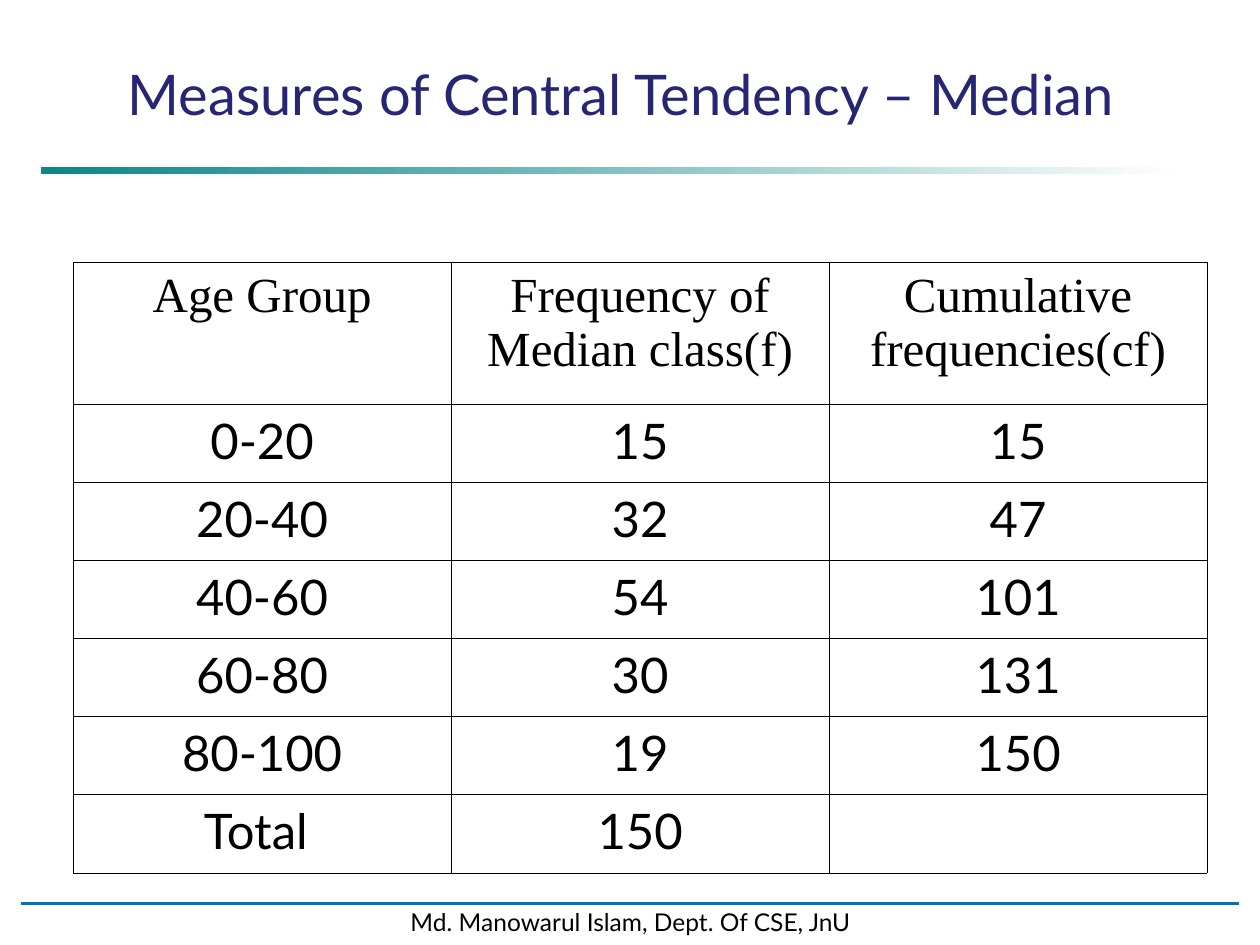
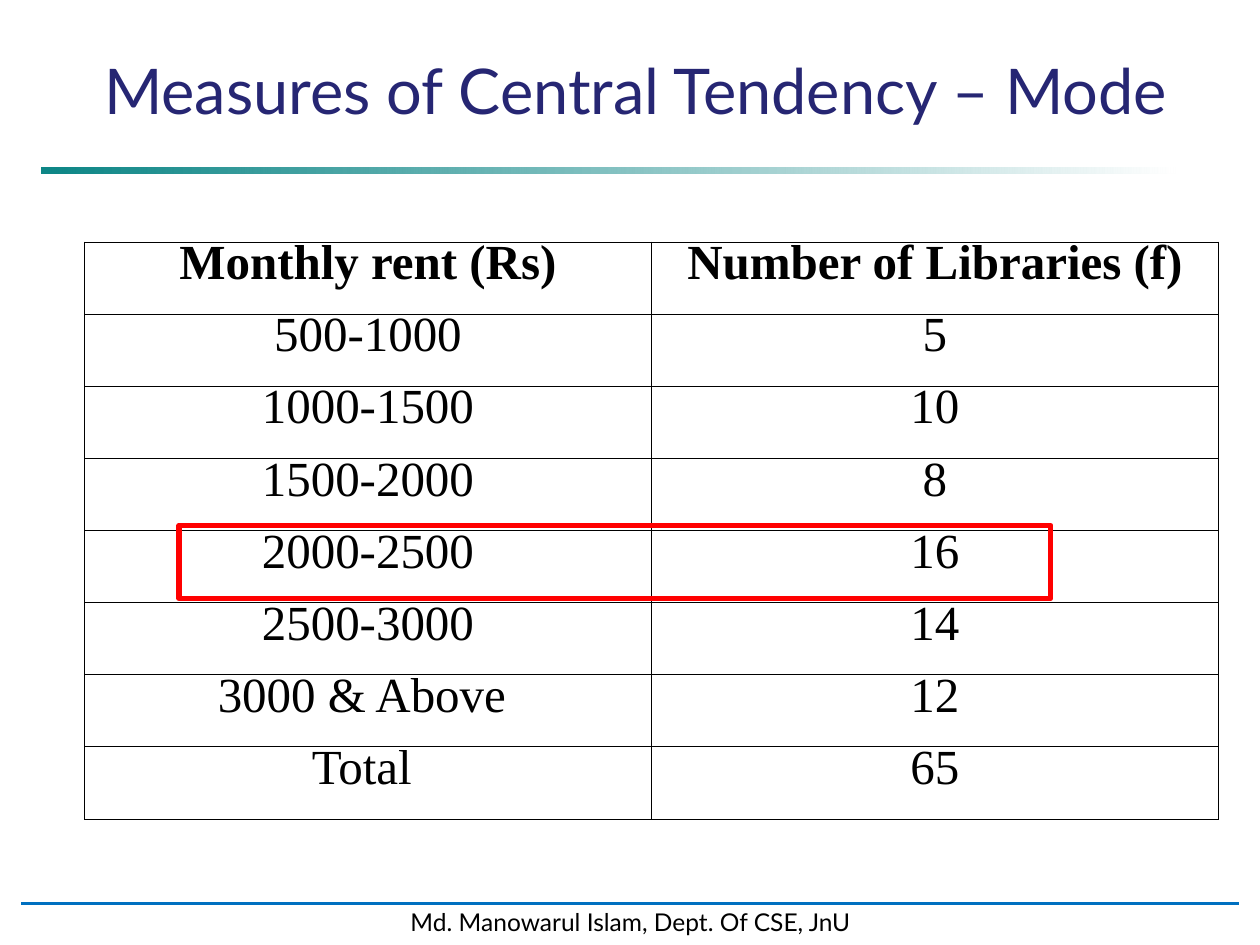
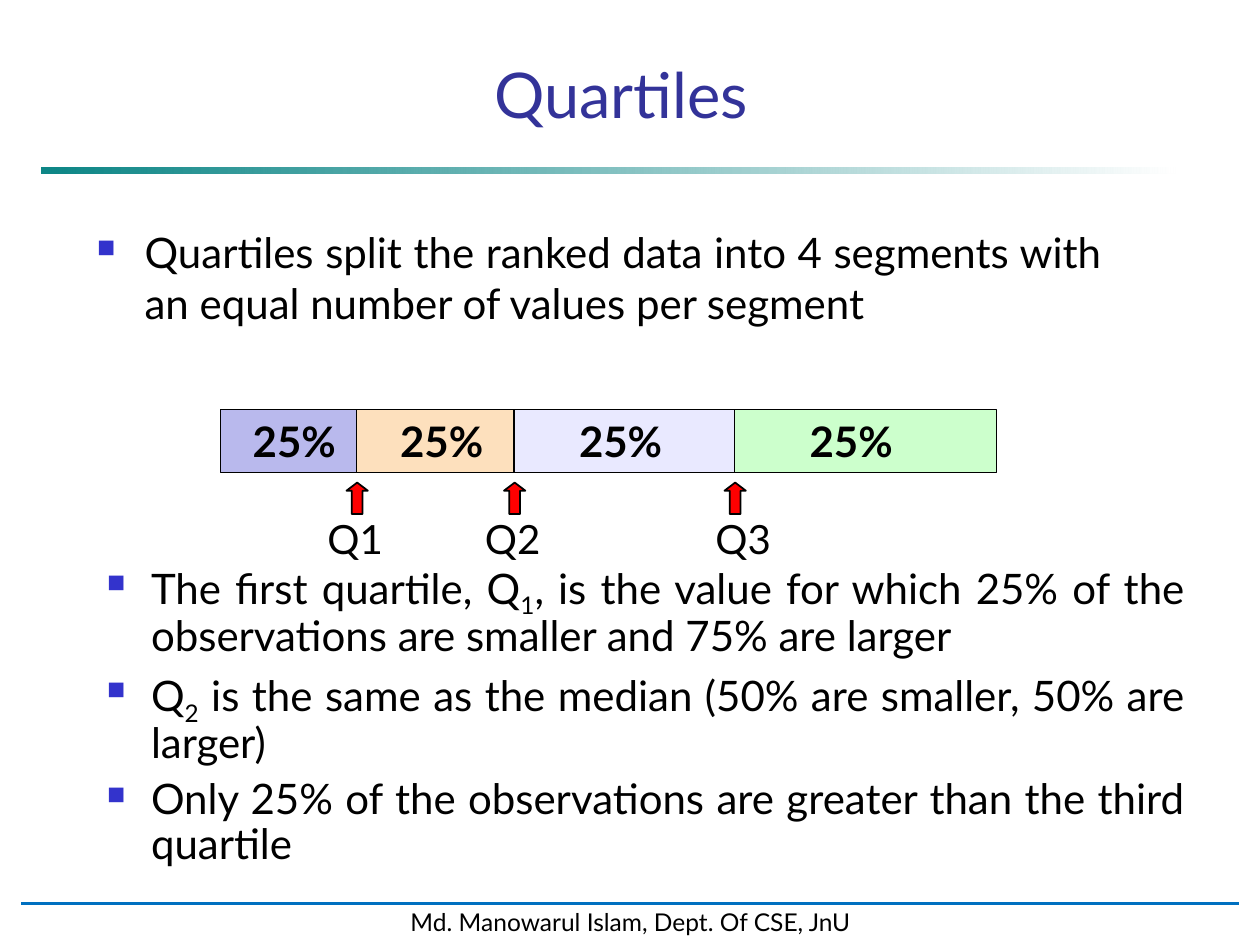
from dataclasses import dataclass

from lxml.etree import SubElement
from pptx import Presentation
from pptx.dml.color import RGBColor
from pptx.enum.shapes import MSO_CONNECTOR, MSO_SHAPE
from pptx.enum.text import MSO_ANCHOR, MSO_AUTO_SIZE, PP_ALIGN
from pptx.oxml.ns import qn
from pptx.util import Inches, Pt


@dataclass(frozen=True)
class Theme:
    sans: str = "Lato"
    serif: str = "Times New Roman"
    text: str = "000000"
    paper: str = "FFFFFF"
    title: str = "262673"
    quartile_title: str = "333399"
    band: str = "008080"
    footer_rule: str = "0070C0"
    accent: str = "FF0000"
    bullet: str = "3333CC"
    segments: tuple = ("B9B9ED", "FDE0BD", "E9E9FF", "CCFFCC")
    title_size: float = 36
    long_title_size: float = 32
    table_size: float = 28
    body_size: float = 24
    quartile_size: float = 23
    footer_size: float = 14


THEME = Theme()
FOOTER = "Md. Manowarul Islam, Dept. Of CSE, JnU"
AGE_ROWS = [
    ("Age Group", "Frequency of Median class(f)", "Cumulative frequencies(cf)"),
    ("0-20", "15", "15"),
    ("20-40", "32", "47"),
    ("40-60", "54", "101"),
    ("60-80", "30", "131"),
    ("80-100", "19", "150"),
    ("Total ", "150", ""),
]
RENT_ROWS = [
    ("Monthly rent (Rs)", "Number of Libraries (f)"),
    ("500-1000", "5"),
    ("1000-1500", "10"),
    ("1500-2000", "8"),
    ("2000-2500", "16"),
    ("2500-3000", "14"),
    ("3000 & Above ", "12"),
    ("Total ", "65"),
]
SEGMENTS = [(1.75, 1.26, 1.83), (2.83, 1.25, 3), (4.08, 1.92, 4.42), (5.83, 2.08, 6.25)]
QUARTILES = [("Q1", 2.83, 2.5), ("Q2", 4.08, 3.75), ("Q3", 5.83, 5.58)]
DEFINITION = [["Quartiles split the ranked data into 4 segments with an equal number of values per segment"]]
EXPLANATIONS = [
    ["The first quartile, Q", "1", ", is the value for which 25% of the observations are smaller and 75% are larger"],
    ["Q", "2", " is the same as the median (50% are smaller, 50% are larger)"],
    ["Only 25% of the observations are greater than the third quartile"],
]


def rgb(color):
    return RGBColor.from_string(color)


def box(left, top, width, height):
    return [Inches(length) for length in (left, top, width, height)]


def style_runs(paragraph, size, font=THEME.sans, color=THEME.text, bold=False):
    for run in paragraph.runs:
        run.font.name = font
        run.font.size = Pt(size)
        run.font.bold = bold
        run.font.color.rgb = rgb(color)


def add_preset(slide, preset, place, fill=None, line=None, line_width=1):
    shape = slide.shapes.add_shape(preset, *box(*place))
    shape.shadow.inherit = False
    if fill:
        shape.fill.solid()
        shape.fill.fore_color.rgb = rgb(fill)
    else:
        shape.fill.background()
    if line:
        shape.line.color.rgb = rgb(line)
        shape.line.width = Pt(line_width)
    else:
        shape.line.fill.background()
    return shape


def add_label(slide, place, text, size, bold=False, align=PP_ALIGN.CENTER, spacing=None):
    frame = slide.shapes.add_textbox(*box(*place)).text_frame
    frame.word_wrap = True
    paragraph = frame.paragraphs[0]
    paragraph.text = text
    paragraph.alignment = align
    paragraph.line_spacing = spacing
    style_runs(paragraph, size, bold=bold)


def add_bullets(slide, place, items, indent, spacing=None):
    frame = slide.shapes.add_textbox(*box(*place)).text_frame
    frame.word_wrap = True
    for index, parts in enumerate(items):
        paragraph = frame.add_paragraph() if index else frame.paragraphs[0]
        paragraph.alignment = PP_ALIGN.JUSTIFY
        paragraph.line_spacing = spacing
        if index:
            paragraph.space_before = Pt(6)
        properties = paragraph._p.get_or_add_pPr()
        properties.set("marL", str(Inches(indent)))
        properties.set("indent", str(-Inches(indent)))
        bullet_color = SubElement(properties, qn("a:buClr"))
        SubElement(bullet_color, qn("a:srgbClr"), val=THEME.bullet)
        SubElement(properties, qn("a:buSzPct"), val="60000")
        SubElement(properties, qn("a:buChar"), char="■")
        for position, part in enumerate(parts):
            run = paragraph.add_run()
            run.text = part
            if position % 2:
                run._r.get_or_add_rPr().set("baseline", "-25000")
        style_runs(paragraph, THEME.body_size)


def add_cell_borders(cell):
    properties = cell._tc.get_or_add_tcPr()
    for side in ("lnL", "lnR", "lnT", "lnB"):
        border = SubElement(properties, qn(f"a:{side}"), w=str(Pt(0.45)))
        border_fill = SubElement(border, qn("a:solidFill"))
        SubElement(border_fill, qn("a:srgbClr"), val=THEME.text)


def add_grid(slide, place, rows, heights, margin=0.1, body_font=THEME.sans,
             header_bold=False, fill=None, spacing=None):
    table = slide.shapes.add_table(len(rows), len(rows[0]), *box(*place)).table
    table.first_row = False
    table.horz_banding = False
    for row_index, values in enumerate(rows):
        table.rows[row_index].height = Inches(heights[row_index])
        header = row_index == 0
        for column_index, value in enumerate(values):
            cell = table.cell(row_index, column_index)
            cell.margin_left = cell.margin_right = Inches(margin)
            add_cell_borders(cell)
            if fill:
                cell.fill.solid()
                cell.fill.fore_color.rgb = rgb(fill)
            else:
                cell.fill.background()
            paragraph = cell.text_frame.paragraphs[0]
            paragraph.text = value
            paragraph.alignment = PP_ALIGN.CENTER
            paragraph.line_spacing = spacing
            style_runs(paragraph, THEME.table_size, THEME.serif if header else body_font,
                       bold=header and header_bold)


def add_title_band(slide):
    band = add_preset(slide, MSO_SHAPE.RECTANGLE, (0.33, 1.33, 9, 0.05))
    band.fill.gradient()
    band.fill.gradient_angle = 0
    for stop, color in zip(band.fill.gradient_stops, (THEME.band, THEME.paper)):
        stop.color.rgb = rgb(color)
    band_start = next(band._element.iter(qn("a:srgbClr")))
    SubElement(band_start, qn("a:alpha"), val="95000")


def add_footer(slide):
    footer = add_preset(slide, MSO_SHAPE.RECTANGLE, (0.17, 7.15, 9.67, 0.33),
                        THEME.paper, THEME.paper, 2)
    frame = footer.text_frame
    frame.word_wrap = False
    frame.vertical_anchor = MSO_ANCHOR.TOP
    frame.text = FOOTER
    frame.paragraphs[0].alignment = PP_ALIGN.CENTER
    style_runs(frame.paragraphs[0], THEME.footer_size)
    rule = slide.shapes.add_connector(MSO_CONNECTOR.STRAIGHT, Inches(0.17), Inches(7.17),
                                      Inches(9.83), Inches(7.17))
    rule.line.color.rgb = rgb(THEME.footer_rule)
    rule.line.width = Pt(1.75)
    SubElement(rule._element.spPr, qn("a:effectLst"))


def add_slide(deck, heading, place=(0.67, 0.42, 8.52, 0.67), anchor=MSO_ANCHOR.TOP,
              size=THEME.title_size, color=THEME.title):
    slide = deck.slides.add_slide(deck.slide_layouts.get_by_name("Title Only"))
    add_title_band(slide)
    add_footer(slide)
    title = slide.shapes.title
    title.left, title.top, title.width, title.height = box(*place)
    frame = title.text_frame
    frame.text = heading
    frame.auto_size = MSO_AUTO_SIZE.NONE
    frame.vertical_anchor = anchor
    frame.paragraphs[0].alignment = PP_ALIGN.CENTER
    style_runs(frame.paragraphs[0], size, color=color)
    return slide


def add_median_slide(deck):
    slide = add_slide(deck, "Measures of Central Tendency – Median", size=THEME.long_title_size)
    add_grid(slide, (0.58, 2.08, 9, 4.85), AGE_ROWS, [1.13] + [0.62] * 6, fill=THEME.paper)


def add_mode_slide(deck):
    slide = add_slide(deck, "Measures of Central Tendency – Mode", (0.17, 0.17, 9.75, 1.08),
                      MSO_ANCHOR.MIDDLE)
    row_height = 4.58 / len(RENT_ROWS)
    add_grid(slide, (0.67, 1.92, 9, 4.58), RENT_ROWS, [row_height] * len(RENT_ROWS), margin=0.06,
             body_font=THEME.serif, header_bold=True, spacing=Pt(24))
    add_preset(slide, MSO_SHAPE.RECTANGLE, (1.42, 4.17, 6.92, 0.58), line=THEME.accent, line_width=3)


def add_quartile_slide(deck):
    slide = add_slide(deck, "Quartiles", anchor=MSO_ANCHOR.BOTTOM, color=THEME.quartile_title)
    add_bullets(slide, (0.67, 1.75, 8.17, 1.04), DEFINITION, 0.38)
    for (left, width, _), color in zip(SEGMENTS, THEME.segments):
        add_preset(slide, MSO_SHAPE.RECTANGLE, (left, 3.25, width, 0.5), color, THEME.text)
    for _, _, share_left in SEGMENTS:
        add_label(slide, (share_left, 3.25, 1.01, 0.5), "25%", THEME.body_size, bold=True)
    add_bullets(slide, (0.75, 4.42, 8.75, 2.42), EXPLANATIONS, 0.35, 0.9)
    for quartile, boundary, label_left in QUARTILES:
        arrow = add_preset(slide, MSO_SHAPE.UP_ARROW, (boundary - 0.08, 3.83, 0.17, 0.25),
                           THEME.accent, THEME.text)
        arrow.adjustments[1] = 0.38
        add_label(slide, (label_left, 4.08, 0.67, 0.5), quartile, THEME.quartile_size,
                  align=PP_ALIGN.LEFT, spacing=0.9)


def main():
    deck = Presentation()
    deck.slide_width = Inches(10)
    deck.slide_height = Inches(7.5)
    add_median_slide(deck)
    add_mode_slide(deck)
    add_quartile_slide(deck)
    deck.save("out.pptx")


if __name__ == "__main__":
    main()
